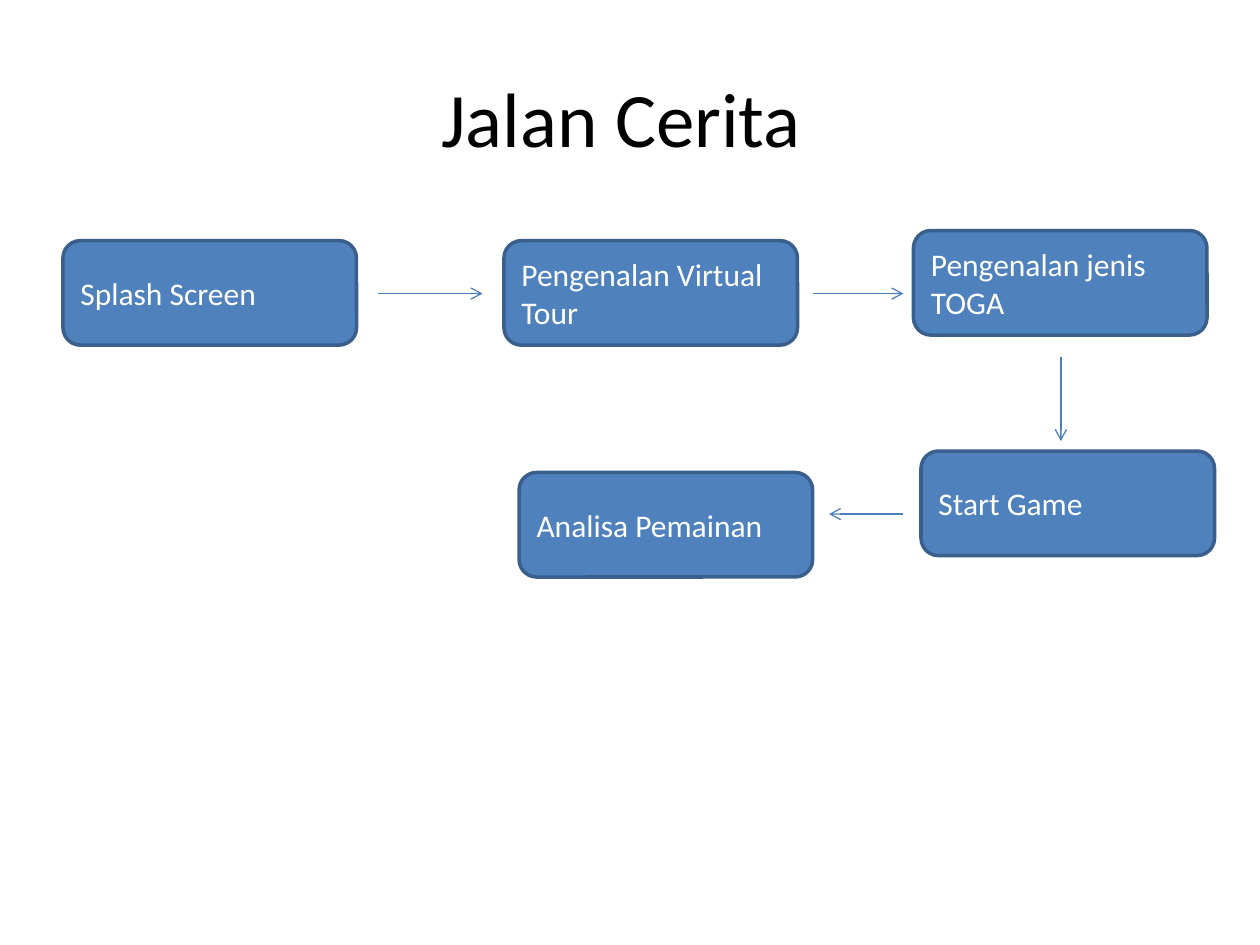
from lxml import etree
from pptx import Presentation
from pptx.dml.color import RGBColor
from pptx.enum import shapes, text
from pptx.oxml.ns import qn
from pptx.util import Inches, Pt


def write_text(shape, content, size=18, color="FFFFFF", align=text.PP_ALIGN.LEFT):
    frame = shape.text_frame
    frame.word_wrap = True
    frame.vertical_anchor = text.MSO_ANCHOR.MIDDLE
    paragraph = frame.paragraphs[0]
    paragraph.alignment = align
    run = paragraph.add_run()
    run.text = content
    run.font.name = "Calibri"
    run.font.size = Pt(size)
    run.font.color.rgb = RGBColor.from_string(color)


presentation = Presentation()
presentation.slide_width = Inches(10)
presentation.slide_height = Inches(7.5)
slide = presentation.slides.add_slide(presentation.slide_layouts[5])

title = slide.shapes.title
title.left, title.top = Inches(0.5), Inches(0.3)
title.width, title.height = Inches(9), Inches(1.25)
write_text(title, "Jalan Cerita ", size=44, color="000000", align=text.PP_ALIGN.CENTER)

# Story steps in reading order: text, left, top
steps = [
    ("Splash Screen", 0.5, 1.91),
    ("Pengenalan Virtual Tour", 4, 1.91),
    ("Pengenalan jenis TOGA", 7.25, 1.83),
    ("Start Game", 7.31, 3.58),
    ("Analisa Pemainan", 4.12, 3.75),
]
for label, left, top in steps:
    box = slide.shapes.add_shape(
        shapes.MSO_SHAPE.ROUNDED_RECTANGLE,
        Inches(left), Inches(top), Inches(2.33), Inches(0.83),
    )
    box.shadow.inherit = False
    box.fill.solid()
    box.fill.fore_color.rgb = RGBColor.from_string("4F81BD")
    box.line.color.rgb = RGBColor.from_string("3A5F8C")
    box.line.width = Pt(2)
    write_text(box, label)

# Arrows from each step to the next: start x, start y, end x, end y
arrows = [
    (3, 2.33, 3.83, 2.33),
    (6.45, 2.33, 7.17, 2.33),
    (8.42, 2.83, 8.42, 3.5),
    (7.17, 4.08, 6.58, 4.08),
]
for points in arrows:
    arrow = slide.shapes.add_connector(
        shapes.MSO_CONNECTOR.STRAIGHT, *[Inches(value) for value in points]
    )
    arrow.line.color.rgb = RGBColor.from_string("4B7EBC")
    arrow.line.width = Pt(0.75)
    etree.SubElement(arrow.line._get_or_add_ln(), qn("a:tailEnd"), type="arrow")
    etree.SubElement(arrow._element.spPr, qn("a:effectLst"))

presentation.save("out.pptx")
